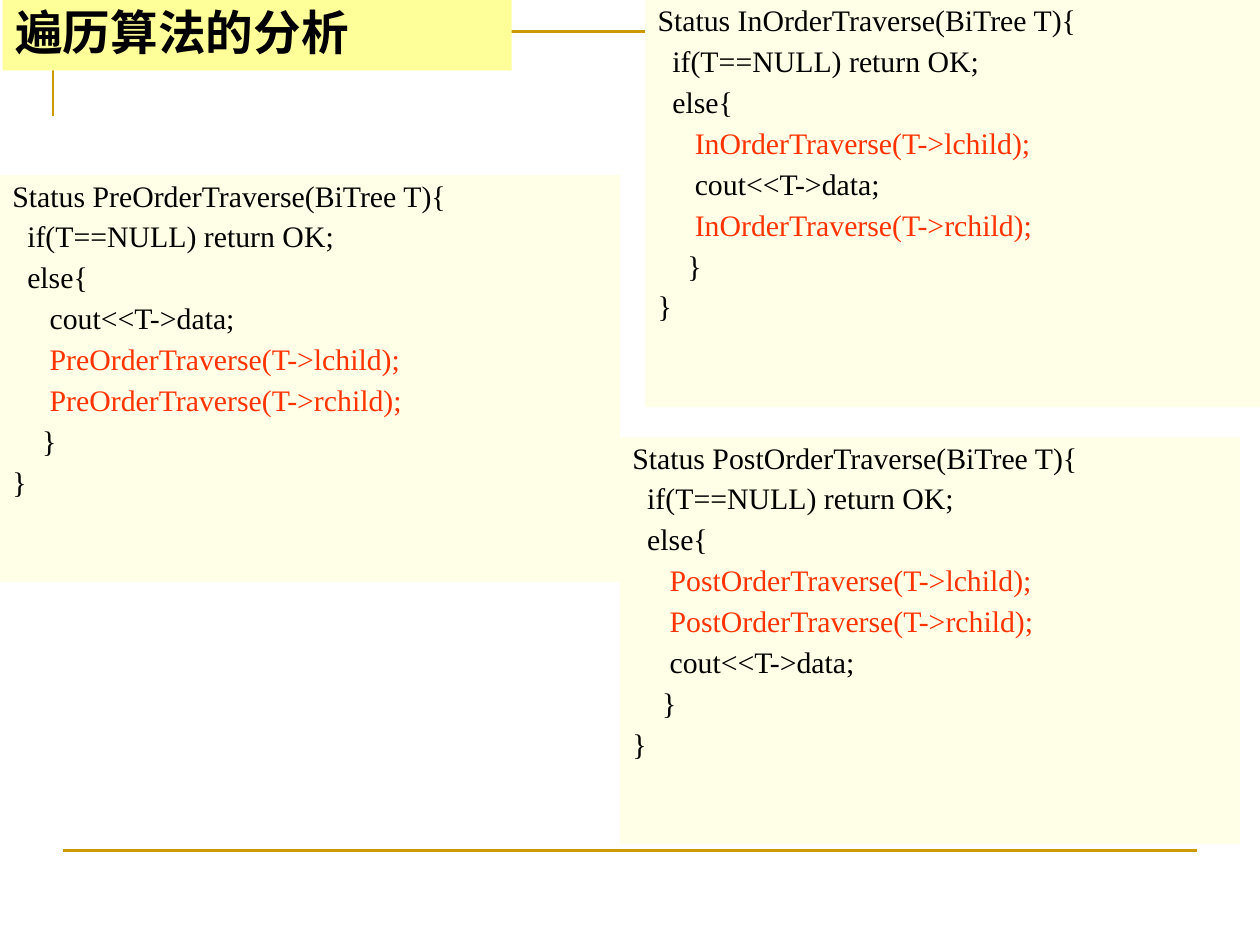
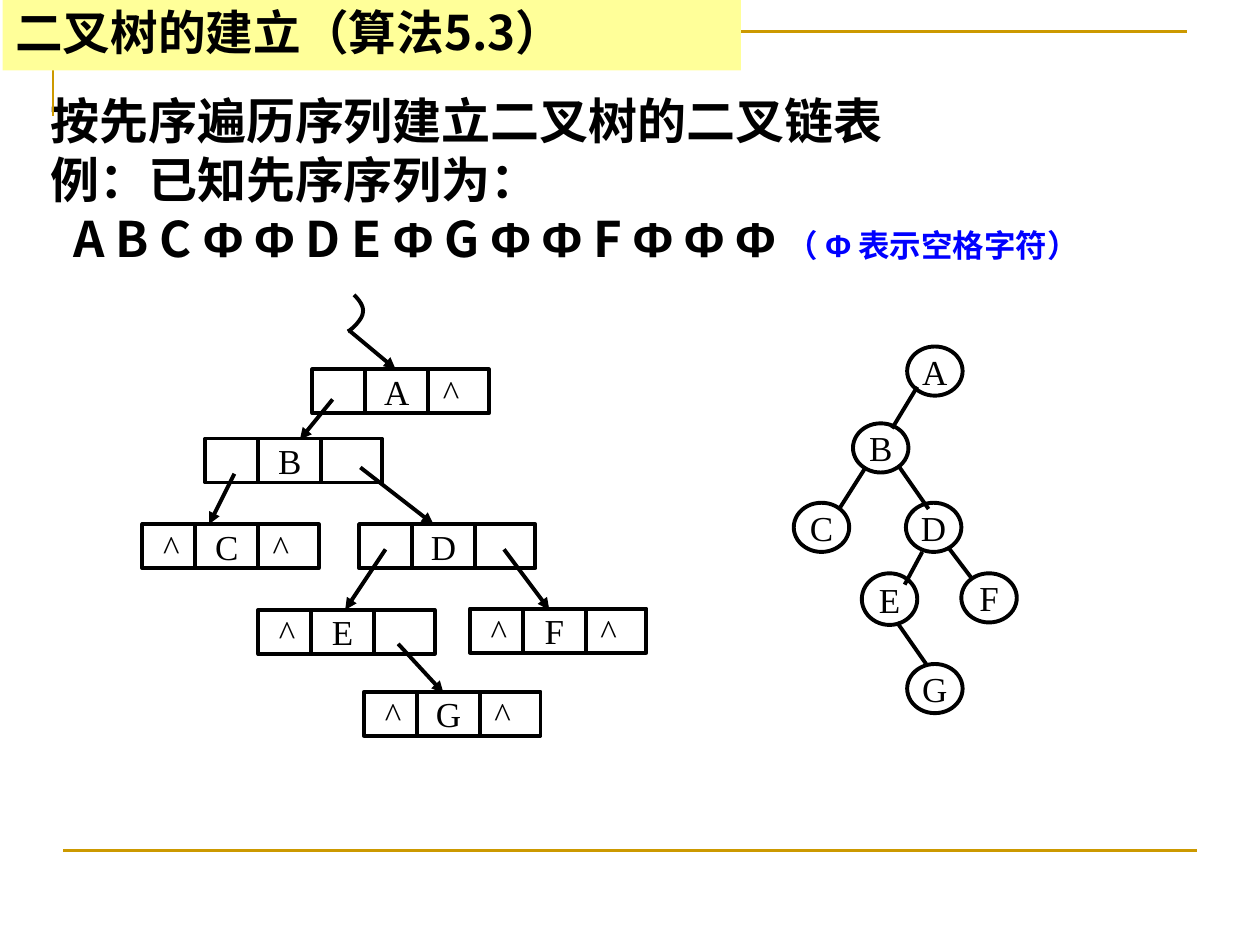
from dataclasses import dataclass
from itertools import groupby

from lxml.etree import SubElement
from pptx import Presentation
from pptx.dml.color import RGBColor
from pptx.enum.shapes import MSO_CONNECTOR, MSO_SHAPE
from pptx.enum.text import MSO_ANCHOR, MSO_AUTO_SIZE, PP_ALIGN
from pptx.oxml.ns import qn
from pptx.util import Inches, Pt


@dataclass(frozen=True)
class Theme:
    ink: str = "000000"
    rule: str = "CC9900"
    title_band: str = "FFFF99"
    code_panel: str = "FFFFE7"
    call: str = "FF3300"
    note: str = "0000FF"
    heading_font: str = "Noto Sans CJK SC"
    symbol_font: str = "Arial"
    code_font: str = "Times New Roman"
    title_size: float = 27.2
    body_size: float = 28
    note_size: float = 18
    code_size: float = 17
    node_size: float = 20
    rule_width: float = 1.5
    diagram_width: float = 2.25


THEME = Theme()
RECORD_WIDTH, RECORD_HEIGHT = 1.4, 0.35
RECORD_DIVIDERS = (0.42, 0.92)
FIELD_CENTRES = (0.23, 0.67, 1.1)  # left link, data, right link
FIELD_WIDTH = 0.4
NODE_WIDTH, NODE_HEIGHT = 0.44, 0.39


def write(frame, lines, font, size, color=THEME.ink, bold=False, align=PP_ALIGN.LEFT,
          anchor=MSO_ANCHOR.TOP, inset=(0.1, 0.05), spacing=None, before=0,
          margin=0, indent=0):
    """Fill a frame; a line is a string or a list of (text, format changes)."""
    frame.auto_size = MSO_AUTO_SIZE.NONE
    frame.word_wrap = True
    frame.vertical_anchor = anchor
    frame.margin_left = frame.margin_right = Inches(inset[0])
    frame.margin_top = frame.margin_bottom = Inches(inset[1])
    for index, line in enumerate(lines):
        paragraph = frame.paragraphs[0] if index == 0 else frame.add_paragraph()
        properties = paragraph._p.get_or_add_pPr()
        properties.set("marL", str(Inches(margin)))
        properties.set("indent", str(Inches(indent)))
        SubElement(properties, qn("a:buNone"))
        paragraph.alignment = align
        paragraph.space_before = Pt(before if index else 0)
        if spacing:
            paragraph.line_spacing = spacing
        for text, changes in [(line, {})] if isinstance(line, str) else line:
            style = {"font": font, "size": size, "color": color, **changes}
            run = paragraph.add_run()
            run.text = text
            run.font.size = Pt(style["size"])
            run.font.bold = bold
            run.font.color.rgb = RGBColor.from_string(style["color"])
            run.font.name = style["font"]
            SubElement(run._r.get_or_add_rPr(), qn("a:ea"), typeface=style["font"])


def place(part, left, top, width, height):
    part.left, part.top = Inches(left), Inches(top)
    part.width, part.height = Inches(width), Inches(height)


def paint(part, fill=None, line=None, width=THEME.diagram_width):
    part.shadow.inherit = False
    if fill:
        part.fill.solid()
        part.fill.fore_color.rgb = RGBColor.from_string(fill)
    else:
        part.fill.background()
    if line:
        part.line.color.rgb = RGBColor.from_string(line)
        part.line.width = Pt(width)
    else:
        part.line.fill.background()


def add_box(slide, kind, left, top, width, height, **look):
    box = slide.shapes.add_shape(kind, Inches(left), Inches(top), Inches(width), Inches(height))
    paint(box, **look)
    return box


def add_line(slide, start, end, color=THEME.ink, width=THEME.diagram_width, arrow=False):
    line = slide.shapes.add_connector(
        MSO_CONNECTOR.STRAIGHT, *(Inches(value) for value in (*start, *end)))
    line.line.color.rgb = RGBColor.from_string(color)
    line.line.width = Pt(width)
    properties = line.element.spPr
    if arrow:
        SubElement(properties.find(qn("a:ln")), qn("a:tailEnd"), type="triangle")
    SubElement(properties, qn("a:effectLst"))


def add_path(slide, points, **look):
    start, *rest = [(Inches(x), Inches(y)) for x, y in points]
    builder = slide.shapes.build_freeform(*start, scale=1.0)
    builder.add_line_segments(rest, close=False)
    paint(builder.convert_to_shape(), **look)


def shift(point, left, top):
    return point[0] + left, point[1] + top


def bezier(p0, p1, p2, p3, steps=8):
    for step in range(steps + 1):
        t = step / steps
        yield tuple((1 - t) ** 3 * a + 3 * (1 - t) ** 2 * t * b + 3 * (1 - t) * t ** 2 * c + t ** 3 * d
                    for a, b, c, d in zip(p0, p1, p2, p3))


def start_slide(deck, layout):
    """Add a slide with the corner rule and the footer rule."""
    slide = deck.slides.add_slide(deck.slide_layouts[layout])
    add_path(slide, [(0.42, 0.92), (0.42, 0.25), (9.42, 0.25)],
             line=THEME.rule, width=THEME.rule_width)
    add_line(slide, (0.5, 6.75), (9.5, 6.75), THEME.rule, THEME.rule_width)
    return slide


def set_title(slide, text, width):
    title = slide.shapes.title
    place(title, 0.02, 0, width, 0.56)
    title.fill.solid()
    title.fill.fore_color.rgb = RGBColor.from_string(THEME.title_band)
    write(title.text_frame, [text], THEME.heading_font, THEME.title_size, bold=True,
          anchor=MSO_ANCHOR.MIDDLE, spacing=0.9)
    title.element.getparent().append(title.element)  # the band covers the corner rule


def add_code_panel(slide, left, top, order, steps):
    """Show one recursive traversal; steps gives the order of its three visits."""
    name = f"{order}OrderTraverse"
    red = {"color": THEME.call}
    visits = {
        "data": "     cout<<T->data;",
        "left": [("     ", {}), (f"{name}(T->lchild);", red)],
        "right": [("     ", {}), (f"{name}(T->rchild);", red)],
    }
    lines = [f"Status {name}(BiTree T){{", "  if(T==NULL) return OK;", "  else{",
             *(visits[step] for step in steps), "    }", "}"]
    panel = add_box(slide, MSO_SHAPE.RECTANGLE, left, top, 4.92, 3.23, fill=THEME.code_panel)
    write(panel.text_frame, lines, THEME.code_font, THEME.code_size,
          align=PP_ALIGN.JUSTIFY, spacing=0.9, before=5, margin=0.38, indent=-0.38)


def split_symbols(text, **changes):
    """Give each Φ the symbol font and leave the rest in the heading font."""
    return [("".join(part), {**changes, "font": THEME.symbol_font if is_phi else THEME.heading_font})
            for is_phi, part in groupby(text, key=lambda letter: letter == "Φ")]


def add_sequence_text(slide, left, top, width, height):
    body = slide.placeholders[1]
    place(body, left, top, width, height)
    sequence = [*split_symbols("A B C Φ Φ D E Φ G Φ Φ F Φ Φ Φ "),
                *split_symbols("（ Φ 表示空格字符）", size=THEME.note_size, color=THEME.note)]
    write(body.text_frame, ["按先序遍历序列建立二叉树的二叉链表", "例：已知先序序列为：", sequence],
          THEME.heading_font, THEME.body_size, bold=True, spacing=Pt(33.7))
    body.text_frame.paragraphs[-1]._p.get_or_add_pPr().set("marL", str(Inches(0.18)))


def add_record(slide, left, top, fields):
    """Draw a list record: left link, data, right link."""
    add_box(slide, MSO_SHAPE.RECTANGLE, left, top, RECORD_WIDTH, RECORD_HEIGHT, line=THEME.ink)
    for divider in RECORD_DIVIDERS:
        x = left + divider
        add_line(slide, (x, top), (x, top + RECORD_HEIGHT))
    for centre, field in zip(FIELD_CENTRES, fields):
        if field:
            label = slide.shapes.add_textbox(Inches(left + centre - FIELD_WIDTH / 2), Inches(top),
                                             Inches(FIELD_WIDTH), Inches(RECORD_HEIGHT))
            write(label.text_frame, [field], THEME.code_font, THEME.node_size,
                  align=PP_ALIGN.CENTER, anchor=MSO_ANCHOR.MIDDLE, inset=(0, 0))


def add_linked_list(slide, left, top):
    records = [
        (1.35, 0.59, ("", "A", "^")), (0.5, 1.14, ("", "B", "")),
        (0, 1.82, ("^", "C", "^")), (1.72, 1.82, ("", "D", "")),
        (0.92, 2.5, ("^", "E", "")), (2.6, 2.49, ("^", "F", "^")),
        (1.76, 3.15, ("^", "G", "^")),
    ]
    pointers = [
        ((1.65, 0.29), (2.01, 0.59)), ((1.51, 0.83), (1.25, 1.15)),
        ((0.73, 1.42), (0.53, 1.82)), ((1.73, 1.37), (2.31, 1.82)),
        ((1.93, 2.02), (1.61, 2.5)), ((2.87, 2.02), (3.23, 2.5)),
        ((2.03, 2.77), (2.39, 3.16)),
    ]
    for x, y, fields in records:
        add_record(slide, left + x, top + y, fields)
    for start, end in pointers:
        add_line(slide, shift(start, left, top), shift(end, left, top), arrow=True)
    # Curl of the head pointer
    curl = [*bezier((1.68, 0), (1.72, 0.04), (1.76, 0.09), (1.75, 0.14)),
            *bezier((1.75, 0.14), (1.75, 0.19), (1.66, 0.28), (1.63, 0.29))]
    add_path(slide, [shift(point, left, top) for point in curl], line=THEME.ink)


def add_tree(slide, left, top):
    nodes = {"A": (0.9, 0), "B": (0.47, 0.61), "C": (0, 1.24), "D": (0.89, 1.24),
             "E": (0.54, 1.8), "F": (1.33, 1.8), "G": (0.9, 2.52)}
    edges = [
        ((0.98, 0.32), (0.78, 0.65)), ((0.57, 0.96), (0.36, 1.29)),
        ((0.84, 0.96), (1.07, 1.29)), ((1.02, 1.63), (0.88, 1.89)),
        ((1.23, 1.6), (1.42, 1.85)), ((0.82, 2.19), (1.05, 2.52)),
    ]
    for letter, offset in nodes.items():
        height = 0.41 if letter == "E" else NODE_HEIGHT
        node = add_box(slide, MSO_SHAPE.OVAL, *shift(offset, left, top), NODE_WIDTH, height,
                       line=THEME.ink)
        write(node.text_frame, [letter], THEME.code_font, THEME.node_size,
              align=PP_ALIGN.CENTER, anchor=MSO_ANCHOR.MIDDLE, inset=(0, 0))
    for start, end in edges:
        add_line(slide, shift(start, left, top), shift(end, left, top))


def build_traversal_slide(deck):
    slide = start_slide(deck, 5)
    add_code_panel(slide, 0, 1.39, "Pre", ("data", "left", "right"))
    add_code_panel(slide, 4.92, 3.47, "Post", ("left", "right", "data"))
    add_code_panel(slide, 5.12, 0, "In", ("left", "data", "right"))
    set_title(slide, "遍历算法的分析", 4.04)


def build_creation_slide(deck):
    slide = start_slide(deck, 1)
    add_tree(slide, 6.3, 2.75)
    add_linked_list(slide, 1.13, 2.34)
    add_sequence_text(slide, 0.3, 0.67, 9.43, 1.8)
    set_title(slide, "二叉树的建立（算法5.3）", 5.86)


def main():
    deck = Presentation()
    deck.slide_width, deck.slide_height = Inches(10), Inches(7.5)
    build_traversal_slide(deck)
    build_creation_slide(deck)
    deck.save("out.pptx")


if __name__ == "__main__":
    main()
